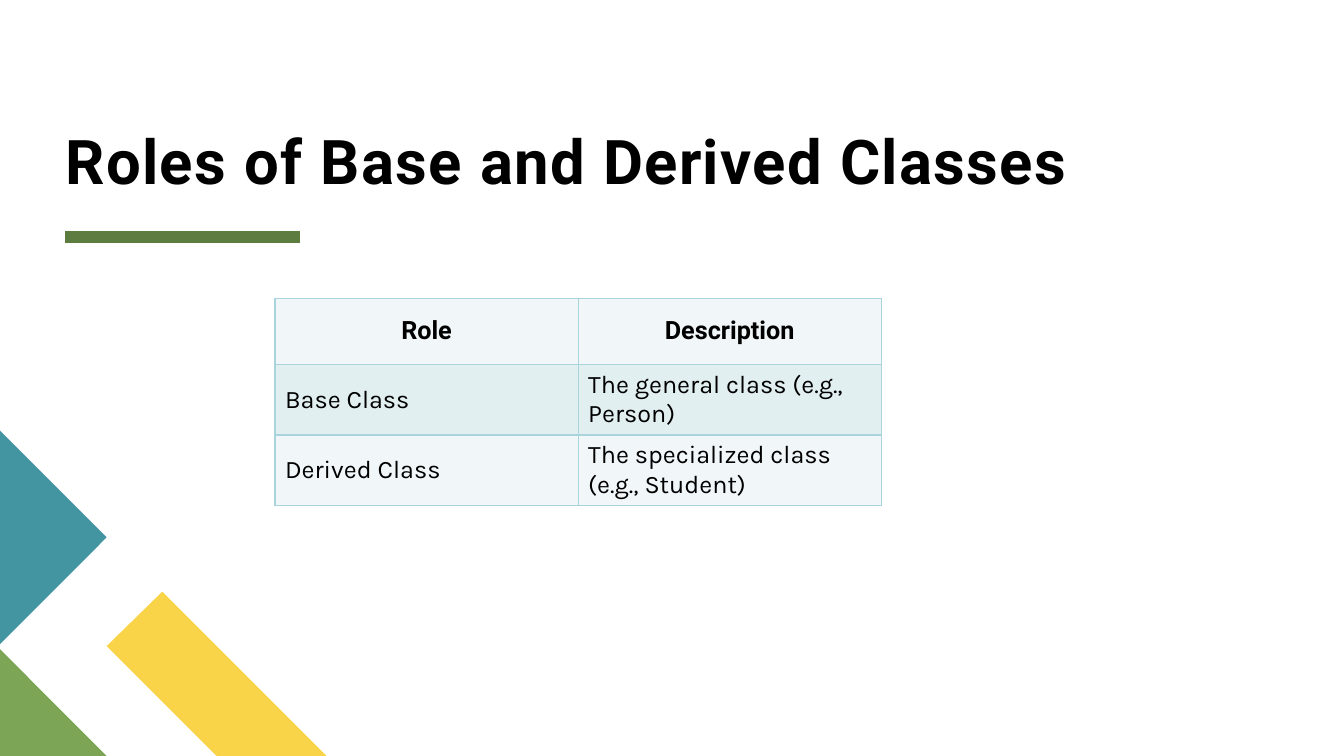
from lxml import etree
from pptx import Presentation
from pptx.dml.color import RGBColor
from pptx.enum.shapes import MSO_CONNECTOR
from pptx.enum.text import MSO_ANCHOR, PP_ALIGN
from pptx.oxml import parse_xml
from pptx.oxml.ns import nsdecls, qn
from pptx.util import Cm, Pt

STRAIGHT = MSO_CONNECTOR.STRAIGHT
BOTTOM, MIDDLE = MSO_ANCHOR.BOTTOM, MSO_ANCHOR.MIDDLE
LEFT, CENTER = PP_ALIGN.LEFT, PP_ALIGN.CENTER

BLACK = RGBColor(0x00, 0x00, 0x00)
DARK_GREEN = RGBColor(0x5D, 0x7D, 0x40)
GREEN = RGBColor(0x7C, 0xA6, 0x55)
YELLOW = RGBColor(0xF9, 0xD4, 0x48)
TEAL = RGBColor(0x44, 0x95, 0xA2)
TABLE_BORDER = RGBColor(0xA9, 0xD4, 0xDB)
LIGHT_ROW = RGBColor(0xF1, 0xF7, 0xF8)
DARK_ROW = RGBColor(0xE2, 0xEF, 0xF1)


def set_font(paragraph, name, size, bold):
    paragraph.font.name = name
    paragraph.font.size = Pt(size)
    paragraph.font.bold = bold
    paragraph.font.color.rgb = BLACK


def add_cell_borders(cell):
    properties = cell._tc.get_or_add_tcPr()
    for side in ("lnL", "lnR", "lnT", "lnB"):
        properties.append(parse_xml(
            f'<a:{side} {nsdecls("a")} w="{Pt(1)}"><a:solidFill>'
            f'<a:srgbClr val="{TABLE_BORDER}"/></a:solidFill></a:{side}>'))


presentation = Presentation()
presentation.slide_width = Cm(33.87)
presentation.slide_height = Cm(19.05)
slide = presentation.slides.add_slide(presentation.slide_layouts[6])

# Title and its underline
underline = slide.shapes.add_connector(STRAIGHT, Cm(1.65), Cm(5.97), Cm(7.57), Cm(5.97))
underline.line.color.rgb = DARK_GREEN
underline.line.width = Pt(8)
etree.SubElement(underline._element.spPr, qn("a:effectLst"))

title = slide.shapes.add_textbox(Cm(1.65), Cm(0.28), Cm(30.2), Cm(4.67))
title_frame = title.text_frame
title_frame.word_wrap = True
title_frame.vertical_anchor = BOTTOM
title_frame.margin_left = title_frame.margin_right = 0
title_frame.margin_top = title_frame.margin_bottom = 0
paragraph = title_frame.paragraphs[0]
run = paragraph.add_run()
run.text = "Roles of Base and Derived Classes"
run._r.get_or_add_rPr().set("spc", "100")
paragraph.line_spacing = 0.8
set_font(paragraph, "Roboto", 44, True)

# Corner decoration, corners in centimetres
decorations = [
    (YELLOW, [(8.23, 19.05), (5.46, 19.05), (2.69, 16.28), (4.09, 14.91)]),
    (GREEN, [(2.69, 19.05), (0, 19.05), (0, 16.36)]),
    (TEAL, [(0, 10.85), (2.69, 13.54), (0, 16.23)]),
]
for color, corners in decorations:
    points = [(Cm(x), Cm(y)) for x, y in corners]
    builder = slide.shapes.build_freeform(*points[0])
    builder.add_line_segments(points[1:], close=True)
    shape = builder.convert_to_shape()
    shape.shadow.inherit = False
    shape.fill.solid()
    shape.fill.fore_color.rgb = color
    shape.line.fill.background()

# Table of roles
roles = [
    ("Role", "Description"),
    ("Base Class", "The general class (e.g., Person)"),
    ("Derived Class", "The specialized class (e.g., Student)"),
]
table = slide.shapes.add_table(
    len(roles), 2, Cm(6.93), Cm(7.52), Cm(15.28), Cm(4.98)).table
for row_index, texts in enumerate(roles):
    is_header = row_index == 0
    for column_index, text in enumerate(texts):
        cell = table.cell(row_index, column_index)
        add_cell_borders(cell)
        cell.fill.solid()
        cell.fill.fore_color.rgb = DARK_ROW if row_index % 2 else LIGHT_ROW
        cell.vertical_anchor = MIDDLE
        cell.text = text
        paragraph = cell.text_frame.paragraphs[0]
        paragraph.alignment = CENTER if is_header else LEFT
        set_font(paragraph, "Roboto" if is_header else "Karla", 18, is_header)

presentation.save("out.pptx")
